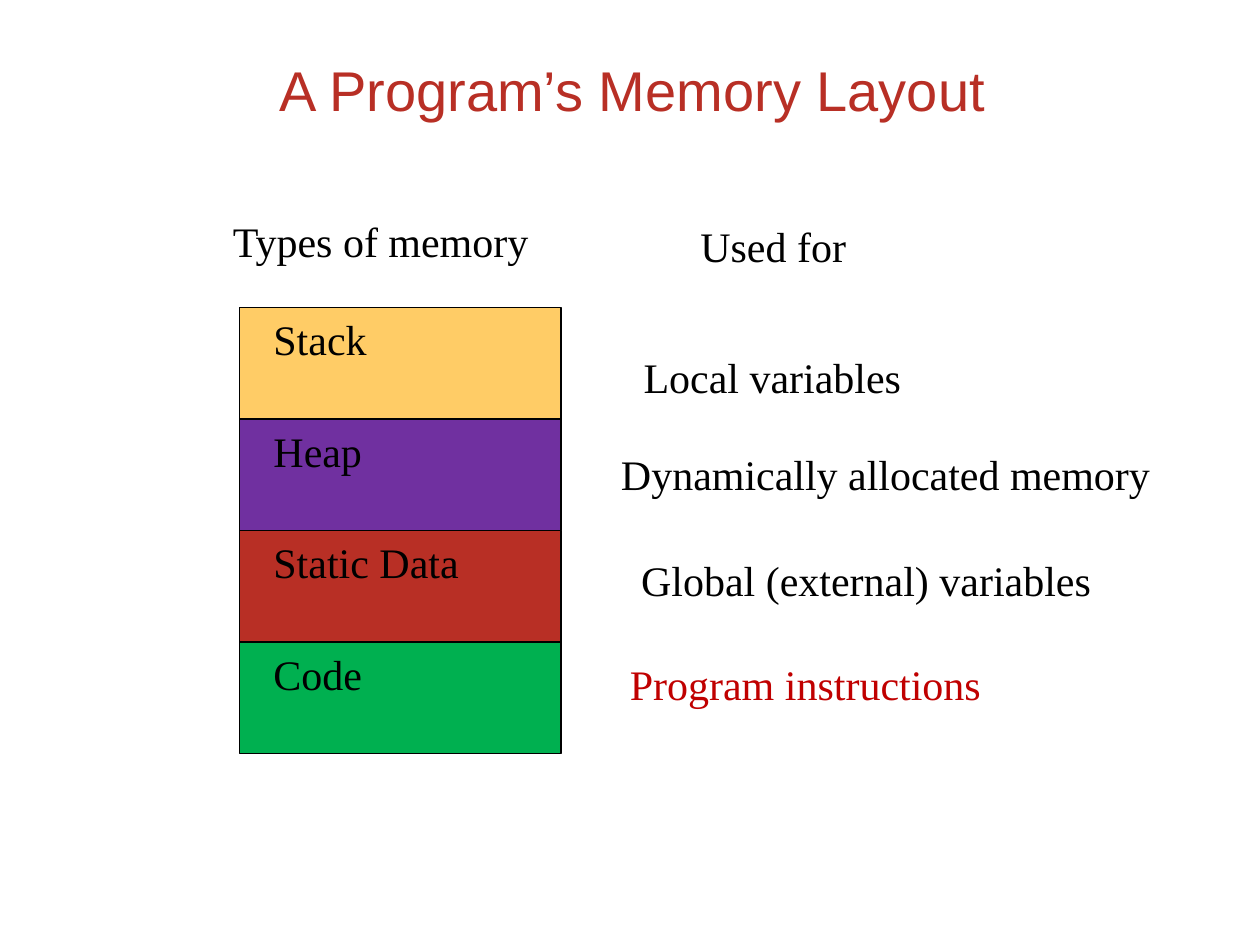
from dataclasses import dataclass

from pptx import Presentation
from pptx.dml.color import RGBColor
from pptx.enum.shapes import MSO_SHAPE
from pptx.enum.text import MSO_ANCHOR, MSO_AUTO_SIZE, PP_ALIGN
from pptx.shapes.autoshape import Shape
from pptx.shapes.shapetree import GroupShapes, SlideShapes
from pptx.text.text import TextFrame
from pptx.util import Inches, Pt

PROCESS = MSO_SHAPE.FLOWCHART_PROCESS
TOP, MIDDLE = MSO_ANCHOR.TOP, MSO_ANCHOR.MIDDLE
LEFT, CENTER = PP_ALIGN.LEFT, PP_ALIGN.CENTER
GROW = MSO_AUTO_SIZE.SHAPE_TO_FIT_TEXT

BLACK = "000000"
BRICK = "B82F25"
SERIF = "Times New Roman"

STACK_LEFT, STACK_TOP = 1.9, 2.44
SEGMENT_WIDTH, SEGMENT_HEIGHT = 2.55, 0.885
LABEL_HEIGHT = 0.5


@dataclass(frozen=True)
class Segment:
    name: str
    fill: str


@dataclass(frozen=True)
class Label:
    text: str
    left: float
    top: float
    width: float
    color: str = BLACK


SEGMENTS = [
    Segment("Stack", "FFCC66"),
    Segment("Heap", "7030A0"),
    Segment("Static Data", BRICK),
    Segment("Code", "00B050"),
]

LABELS = [
    Label("Types of memory", 1.75, 1.66, 2.57),
    Label("Used for", 5.46, 1.7, 1.37),
    Label("Local variables", 5.01, 2.74, 2.26),
    Label("Dynamically allocated memory", 4.83, 3.51, 4.44),
    Label("Global (external) variables", 4.99, 4.35, 3.8),
    Label("Program instructions", 4.9, 5.18, 3.01, "C00000"),
]


def rgb(color: str) -> RGBColor:
    return RGBColor.from_string(color)


def write(frame: TextFrame, text: str, color: str = BLACK, font: str = SERIF,
          size: float = 24, align: PP_ALIGN = LEFT) -> None:
    paragraph = frame.paragraphs[0]
    paragraph.alignment = align
    run = paragraph.add_run()
    run.text = text
    run.font.name = font
    run.font.size = Pt(size)
    run.font.color.rgb = rgb(color)


def draw_title(shapes: SlideShapes, text: str) -> None:
    title = shapes.add_textbox(Inches(0.77), Inches(0.33), Inches(8.5), Inches(0.75))
    title.text_frame.word_wrap = True
    title.text_frame.vertical_anchor = MIDDLE
    write(title.text_frame, text, BRICK, "Arial", 32, CENTER)


def draw_segment(shapes: GroupShapes, segment: Segment, row: int) -> Shape:
    block = shapes.add_shape(
        PROCESS, Inches(STACK_LEFT), Inches(STACK_TOP + row * SEGMENT_HEIGHT),
        Inches(SEGMENT_WIDTH), Inches(SEGMENT_HEIGHT))
    block.shadow.inherit = False
    block.fill.solid()
    block.fill.fore_color.rgb = rgb(segment.fill)
    block.line.color.rgb = rgb(BLACK)
    block.line.width = Pt(1)
    block.text_frame.vertical_anchor = TOP
    block.text_frame.margin_left = Inches(0.27)
    write(block.text_frame, segment.name)
    return block


def draw_label(shapes: SlideShapes, label: Label) -> None:
    box = shapes.add_textbox(Inches(label.left), Inches(label.top),
                             Inches(label.width), Inches(LABEL_HEIGHT))
    box.text_frame.word_wrap = False
    box.text_frame.auto_size = GROW
    write(box.text_frame, label.text, label.color)


def main() -> None:
    deck = Presentation()
    deck.slide_width, deck.slide_height = Inches(10), Inches(7.5)
    slide = deck.slides.add_slide(deck.slide_layouts[6])
    draw_title(slide.shapes, "A Program’s Memory Layout")
    memory = slide.shapes.add_group_shape()
    for row, segment in enumerate(SEGMENTS):
        draw_segment(memory.shapes, segment, row)
    for label in LABELS:
        draw_label(slide.shapes, label)
    deck.save("out.pptx")


if __name__ == "__main__":
    main()
